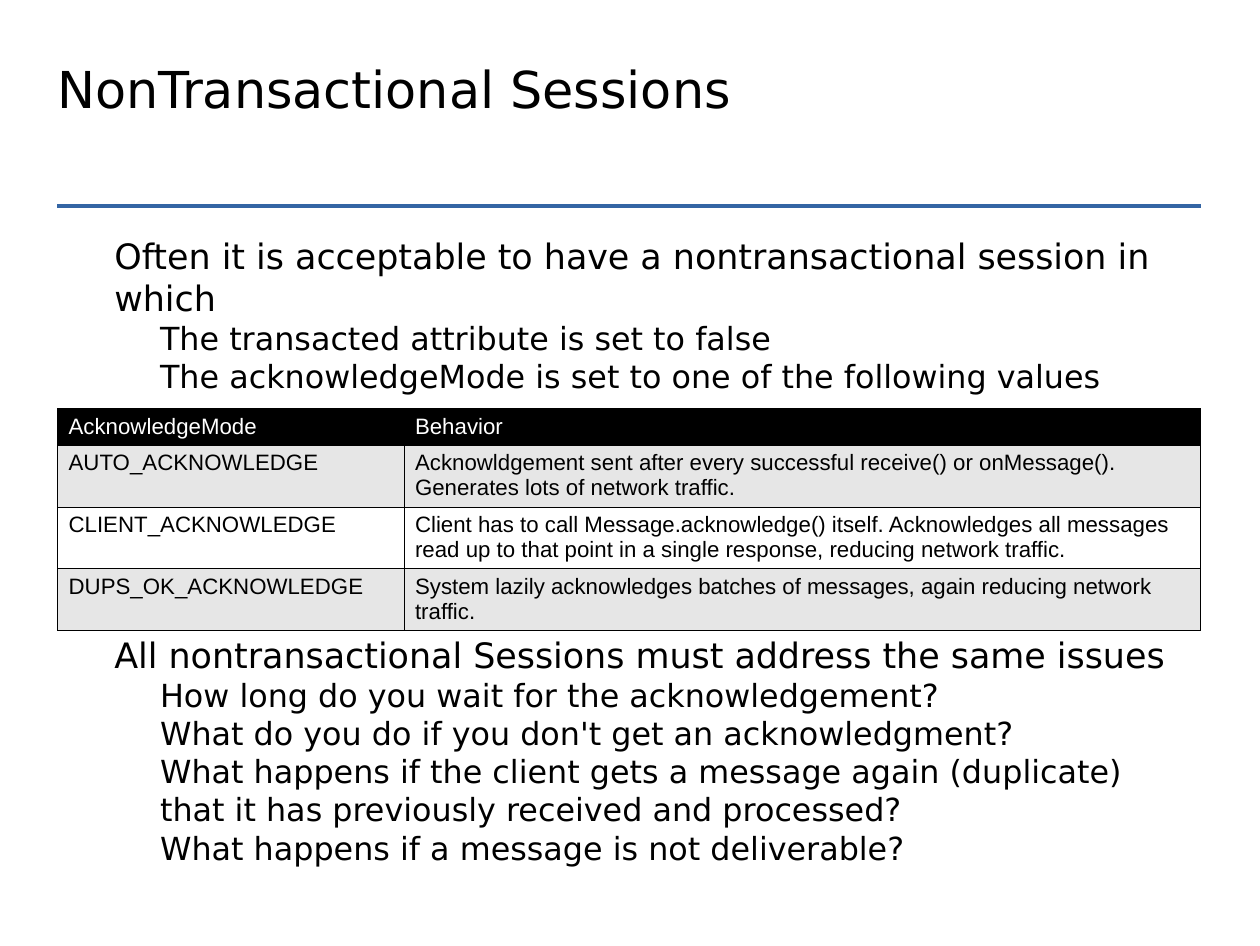
from pptx import Presentation
from pptx.dml.color import RGBColor
from pptx.enum.shapes import MSO_CONNECTOR
from pptx.enum.text import MSO_ANCHOR, MSO_AUTO_SIZE, PP_ALIGN
from pptx.oxml.ns import qn
from pptx.util import Inches, Pt
from lxml.etree import SubElement

COLORS = {"text": "000000", "rule": "3465A4", "head": "000000",
          "head_text": "FFFFFF", "band": "E6E6E6", "plain": "FFFFFF"}
W, H = 11.02, 8.27
MARGIN, CONTENT_W = 0.5, 10
INDENT = 0.4
SIZES = (22, 20)          # body text size by level
TABLE_GAP = 150.5         # space left in the list for the table

TITLE = "NonTransactional Sessions"
# (level, text, space after)
POINTS = [
    (0, "Often it is acceptable to have a nontransactional session in which", 0),
    (1, "The transacted attribute is set to false", 0),
    (1, "The acknowledgeMode is set to one of the following values", TABLE_GAP),
    (0, "All nontransactional Sessions must address the same issues", 0),
    (1, "How long do you wait for the acknowledgement?", 0),
    (1, "What do you do if you don't get an acknowledgment?", 0),
    (1, "What happens if the client gets a message again (duplicate) "
        "that it has previously received and processed?", 0),
    (1, "What happens if a message is not deliverable?", 0),
]
MODES = [
    ("AcknowledgeMode", "Behavior"),
    ("AUTO_ACKNOWLEDGE", "Acknowldgement sent after every successful receive() "
     "or onMessage(). Generates lots of network traffic."),
    ("CLIENT_ACKNOWLEDGE", "Client has to call Message.acknowledge() itself. "
     "Acknowledges all messages read up to that point in a single response, "
     "reducing network traffic."),
    ("DUPS_OK_ACKNOWLEDGE", "System lazily acknowledges batches of messages, "
     "again reducing network traffic."),
]


def rgb(name):
    return RGBColor.from_string(COLORS[name])


def set_all(obj, **values):
    for name, value in values.items():
        setattr(obj, name, value)


def place(sp, x, y, w, h):
    set_all(sp, left=Inches(x), top=Inches(y), width=Inches(w), height=Inches(h))


def write(p, text, size, font, color):
    r = p.add_run()
    r.text = text
    set_all(r.font, size=Pt(size), name=font)
    r.font.color.rgb = rgb(color)


def add_title(s, x, y, w, h):
    sp = s.shapes.title
    place(sp, x, y, w, h)
    tf = sp.text_frame
    set_all(tf, margin_left=0, margin_right=0, margin_top=0, margin_bottom=0,
            vertical_anchor=MSO_ANCHOR.TOP, auto_size=MSO_AUTO_SIZE.NONE)
    p = tf.paragraphs[0]
    p.alignment = PP_ALIGN.LEFT
    write(p, TITLE, 32, "DejaVu Sans", "text")


def add_rule(s, x, y, w):
    ln = s.shapes.add_connector(MSO_CONNECTOR.STRAIGHT, Inches(x), Inches(y),
                                Inches(x + w), Inches(y))
    ln.line.width = Pt(2.89)
    ln.line.color.rgb = rgb("rule")
    SubElement(ln.element.spPr, qn("a:effectLst"))


def add_points(s, x, y, w, h):
    sp = s.placeholders[1]
    place(sp, x, y, w, h)
    tf = sp.text_frame
    tf.auto_size = MSO_AUTO_SIZE.NONE
    for i, (level, text, after) in enumerate(POINTS):
        p = tf.add_paragraph() if i else tf.paragraphs[0]
        set_all(p, level=level, space_before=Pt(0), space_after=Pt(after))
        # Plain indented lines without bullets
        pPr = p._p.get_or_add_pPr()
        pPr.set("marL", str(Inches(INDENT * (level + 1))))
        pPr.set("indent", "0")
        SubElement(pPr, qn("a:buNone"))
        write(p, text, SIZES[level], "DejaVu Sans", "text")


def add_borders(cell):
    tcPr = cell._tc.get_or_add_tcPr()
    for side in ("lnL", "lnR", "lnT", "lnB"):
        ln = SubElement(tcPr, qn("a:" + side), w=str(Pt(0.06)))
        fill = SubElement(ln, qn("a:solidFill"))
        SubElement(fill, qn("a:srgbClr"), val=COLORS["text"])


def add_modes(s, x, y, w, head_h, row_h):
    heights = [head_h] + [row_h] * (len(MODES) - 1)
    table = s.shapes.add_table(len(MODES), 2, Inches(x), Inches(y), Inches(w),
                               Inches(sum(heights))).table
    for col, share in zip(table.columns, (0.303, 0.697)):
        col.width = Inches(w * share)
    for i, row in enumerate(MODES):
        table.rows[i].height = Inches(heights[i])
        fill = "head" if i == 0 else "band" if i % 2 else "plain"
        for j, text in enumerate(row):
            cell = table.cell(i, j)
            set_all(cell, margin_left=Inches(0.1), margin_right=Inches(0.1),
                    margin_top=Inches(0.05), margin_bottom=Inches(0.05))
            add_borders(cell)
            cell.fill.solid()
            cell.fill.fore_color.rgb = rgb(fill)
            p = cell.text_frame.paragraphs[0]
            write(p, text, 14, "Arial", "text" if i else "head_text")
            p.runs[0].font.bold = False


def main():
    prs = Presentation()
    set_all(prs, slide_width=Inches(W), slide_height=Inches(H))
    s = prs.slides.add_slide(prs.slide_layouts[1])
    add_title(s, MARGIN, 0.5, CONTENT_W, 1)
    add_rule(s, MARGIN, 1.8, CONTENT_W)
    add_points(s, MARGIN, 2, CONTENT_W, 5.75)
    add_modes(s, MARGIN, 3.57, CONTENT_W, 0.32, 0.54)
    prs.save("out.pptx")


if __name__ == "__main__":
    main()
